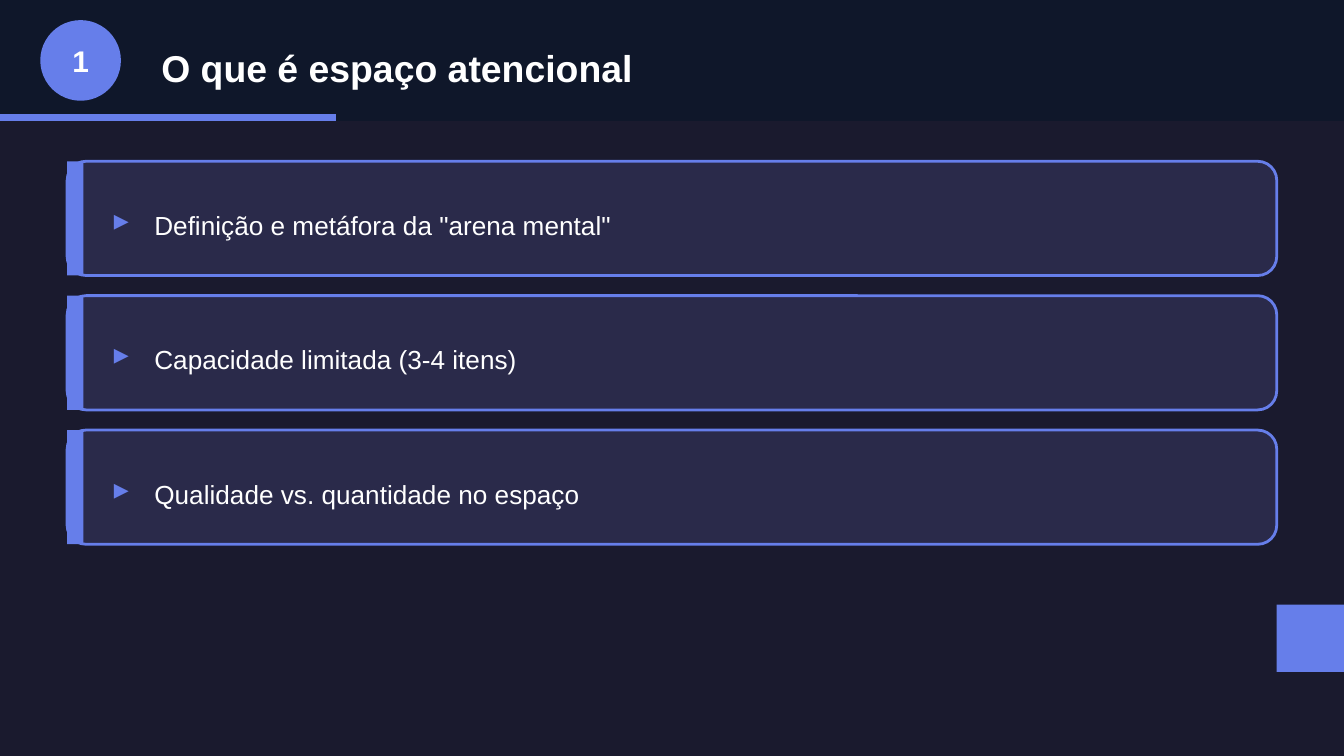
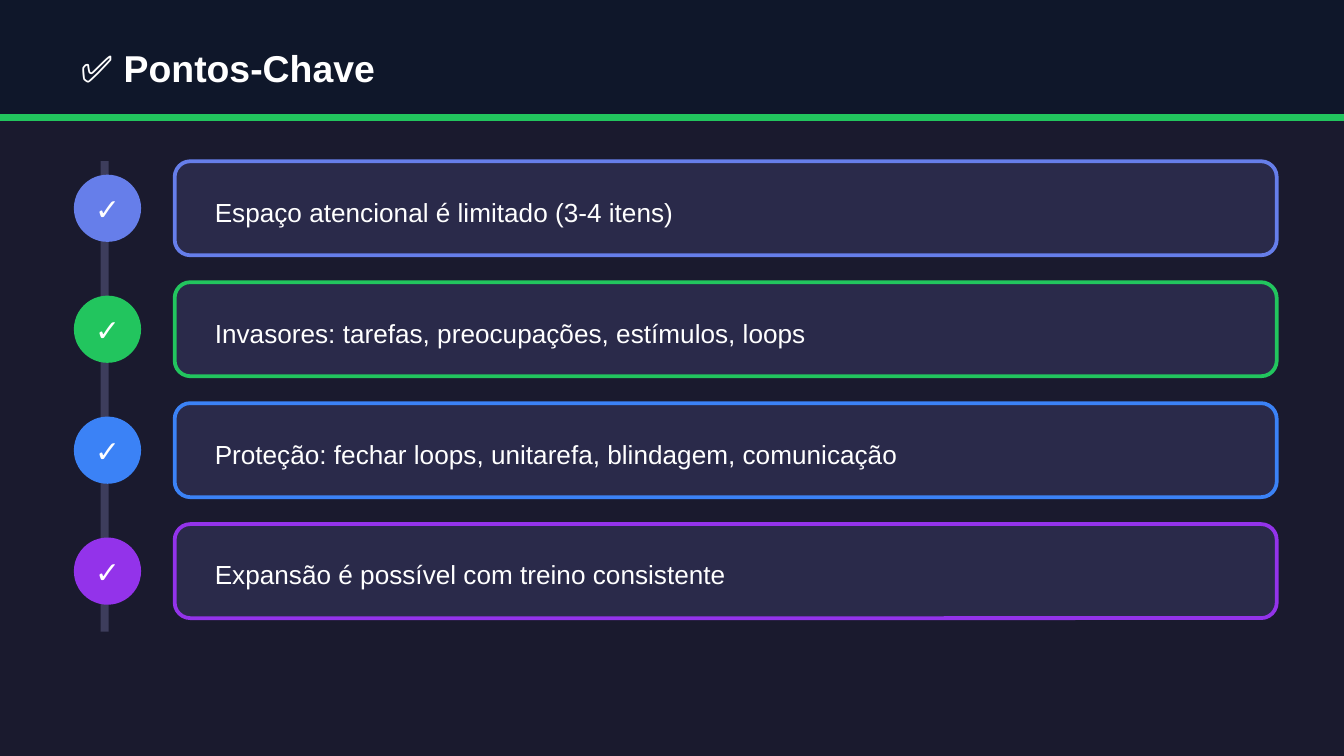
from dataclasses import dataclass
from typing import NamedTuple

from pptx import Presentation
from pptx.dml.color import RGBColor
from pptx.enum.shapes import MSO_SHAPE as Shape
from pptx.enum.text import MSO_ANCHOR as Anchor, MSO_AUTO_SIZE as AutoSize, PP_ALIGN as Align
from pptx.util import Pt


class Box(NamedTuple):
    """A rectangle in points."""
    left: float
    top: float
    width: float
    height: float

    def inner(self, left, top, width, height):
        """Return a box whose corner is offset from this one."""
        return Box(self.left + left, self.top + top, width, height)

    def lengths(self):
        """Return the four lengths for a shape call."""
        return [Pt(value) for value in self]


@dataclass(frozen=True)
class Theme:
    """Colours and type sizes shared by the deck."""
    font: str = "Arial"
    title_size: int = 20
    mark_size: int = 16
    body_size: int = 14
    background: str = "1A1A2E"
    band: str = "0F172A"
    card: str = "2A2A4A"
    rail: str = "3D3D5C"
    text: str = "FFFFFF"
    indigo: str = "667EEA"
    green: str = "22C55E"
    blue: str = "3B82F6"
    purple: str = "9333EA"


THEME = Theme()
PAGE = Box(0, 0, 720, 405)
HEADER = Box(0, 0, PAGE.width, 64.8)
TOPICS = ['Definição e metáfora da "arena mental"',
          "Capacidade limitada (3-4 itens)",
          "Qualidade vs. quantidade no espaço"]
KEY_POINTS = [("Espaço atencional é limitado (3-4 itens)", THEME.indigo),
              ("Invasores: tarefas, preocupações, estímulos, loops", THEME.green),
              ("Proteção: fechar loops, unitarefa, blindagem, comunicação", THEME.blue),
              ("Expansão é possível com treino consistente", THEME.purple)]


def add_block(page, kind, box, fill, line=None, weight=0):
    """Add a filled shape, outlined when a line colour is given."""
    block = page.shapes.add_shape(kind, *box.lengths())
    block.shadow.inherit = False
    block.fill.solid()
    block.fill.fore_color.rgb = RGBColor.from_string(fill)
    if line:
        block.line.color.rgb = RGBColor.from_string(line)
        block.line.width = Pt(weight)
    else:
        block.line.fill.background()


def write(frame, text, size, color=THEME.text, bold=False, align=Align.LEFT):
    """Write one vertically centred line into a text frame."""
    frame.word_wrap = True
    frame.auto_size = AutoSize.NONE
    frame.vertical_anchor = Anchor.MIDDLE
    para = frame.paragraphs[0]
    para.alignment = align
    span = para.add_run()
    span.text = text
    span.font.name = THEME.font
    span.font.size = Pt(size)
    span.font.bold = bold
    span.font.color.rgb = RGBColor.from_string(color)


def add_text(page, box, text, size, **style):
    """Add a text box holding one line."""
    write(page.shapes.add_textbox(*box.lengths()).text_frame, text, size, **style)


def add_header(page, box, title, title_left, title_width, accent, accent_width):
    """Draw the top band with its accent bar and the page title."""
    add_block(page, Shape.RECTANGLE, box, THEME.band)
    add_block(page, Shape.RECTANGLE, box.inner(0, box.height - 3.6, accent_width, 3.6), accent)
    heading = page.shapes.title
    place = box.inner(title_left, 18, title_width, 36)
    heading.left, heading.top, heading.width, heading.height = place.lengths()
    write(heading.text_frame, title, THEME.title_size, bold=True)
    page.shapes.element.append(heading.element)


def add_badge(page, box, text, fill, text_height):
    """Draw a circle with a centred mark."""
    add_block(page, Shape.OVAL, box, fill)
    label = box.inner(0, (box.height - text_height) / 2, box.width, text_height)
    add_text(page, label, text, THEME.mark_size, bold=True, align=Align.CENTER)


def add_topic(page, box, text):
    """Draw a topic card with a side bar and an arrow mark."""
    add_block(page, Shape.ROUNDED_RECTANGLE, box, THEME.card, THEME.indigo, 1.5)
    add_block(page, Shape.RECTANGLE, box.inner(0, 0, 8.64, box.height), THEME.indigo)
    add_text(page, box.inner(18, 18, 21.6, 25.2), "▸", THEME.mark_size,
             color=THEME.indigo, bold=True)
    add_text(page, box.inner(39.6, 18, 590.4, 32.4), text, THEME.body_size)


def add_key_point(page, box, text, color):
    """Draw a check badge followed by an outlined card."""
    add_badge(page, box.inner(0, 7.2, 36, 36), "✓", color, 28.8)
    card = box.inner(54, 0, box.width - 54, box.height)
    add_block(page, Shape.ROUNDED_RECTANGLE, card, THEME.card, color, 2)
    add_text(page, card.inner(14.4, 10.8, card.width - 28.8, 32.4), text, THEME.body_size)


def build_topics(page):
    """Build the numbered section page with its topic cards."""
    add_header(page, HEADER, "O que é espaço atencional", 79.2, 612, THEME.indigo, 180)
    add_badge(page, HEADER.inner(21.6, 10.8, 43.2, 43.2), "1", THEME.indigo, 28.8)
    for row, topic in enumerate(TOPICS):
        add_topic(page, Box(36, 86.4 + 72 * row, 648, 61.2), topic)
    add_block(page, Shape.RECTANGLE, PAGE.inner(684, 324, 36, 36), THEME.indigo)


def build_key_points(page):
    """Build the timeline page of key points."""
    add_header(page, HEADER, "✅ Pontos-Chave", 36, 648, THEME.green, HEADER.width)
    add_block(page, Shape.RECTANGLE, PAGE.inner(54, 86.4, 4.32, 252), THEME.rail)
    for row, (text, color) in enumerate(KEY_POINTS):
        add_key_point(page, Box(39.6, 86.4 + 64.8 * row, 644.4, 50.4), text, color)


def main():
    """Build and save the deck."""
    deck = Presentation()
    deck.slide_width, deck.slide_height = Pt(PAGE.width), Pt(PAGE.height)
    backdrop = deck.slide_master.background.fill
    backdrop.solid()
    backdrop.fore_color.rgb = RGBColor.from_string(THEME.background)
    title_only = deck.slide_layouts.get_by_name("Title Only")
    for build in (build_topics, build_key_points):
        build(deck.slides.add_slide(title_only))
    deck.save("out.pptx")


if __name__ == "__main__":
    main()
